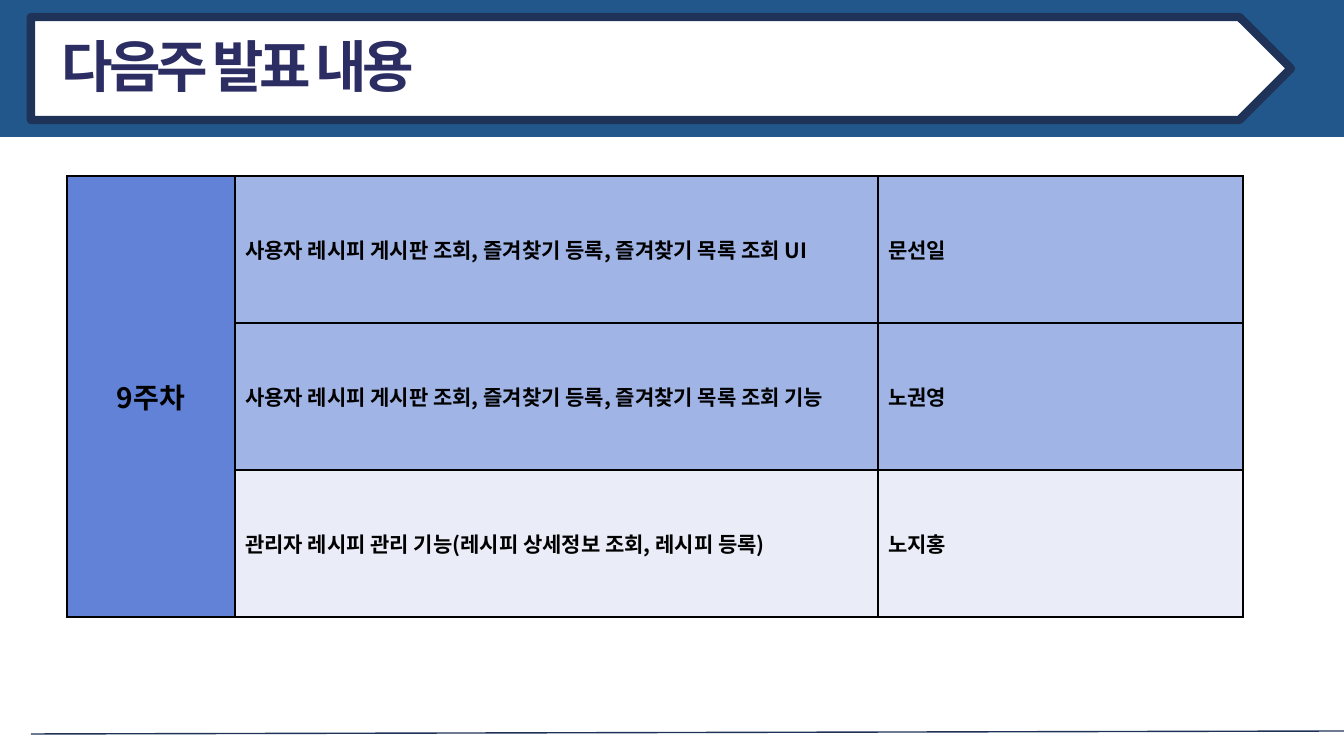
import dataclasses

import pptx
import pptx.dml.color
import pptx.enum.shapes
import pptx.enum.text
import pptx.oxml
import pptx.oxml.ns
import pptx.util

SCALE = 914400 / 100.8
FONT = "Noto Sans CJK KR"
NAVY = "1F3359"
BLACK = "000000"
WHITE = "FFFFFF"
WEEK = "6182D6"
BLUE = "A0B4E6"
PALE = "EAEDF7"
NS = pptx.oxml.ns.nsdecls("a")


@dataclasses.dataclass
class Task:
    work: str
    owner: str
    fill: str


TASKS = [
    Task("사용자 레시피 게시판 조회, 즐겨찾기 등록, 즐겨찾기 목록 조회 UI", "문선일", BLUE),
    Task("사용자 레시피 게시판 조회, 즐겨찾기 등록, 즐겨찾기 목록 조회 기능", "노권영", BLUE),
    Task("관리자 레시피 관리 기능(레시피 상세정보 조회, 레시피 등록)", "노지홍", PALE),
]
COLS = [168, 643, 365]
ROW = 147


def px(count: int) -> pptx.util.Emu:
    return pptx.util.Emu(round(count * SCALE))


def paint(color, code: str) -> None:
    color.rgb = pptx.dml.color.RGBColor.from_string(code)


def flood(fill, code: str) -> None:
    fill.solid()
    paint(fill.fore_color, code)


def write(frame, text: str, size: int, code: str):
    """Fill a text frame with one bold paragraph and return it."""
    para = frame.paragraphs[0]
    para.text = text
    font = para.font
    font.name, font.size, font.bold = FONT, pptx.util.Pt(size), True
    paint(font.color, code)
    props = para._p.pPr.find(pptx.oxml.ns.qn("a:defRPr"))
    props.append(pptx.oxml.parse_xml(f'<a:ea {NS} typeface="{FONT}"/>'))
    return para


def block(slide, kind, left: int, top: int, width: int, height: int, code: str):
    shape = slide.shapes.add_shape(kind, px(left), px(top), px(width), px(height))
    shape.shadow.inherit = False
    flood(shape.fill, code)
    shape.line.fill.background()
    return shape


def header(slide) -> None:
    kinds = pptx.enum.shapes.MSO_SHAPE
    block(slide, kinds.RECTANGLE, 0, 0, 1344, 137, "22578B")
    arrow = block(slide, kinds.PENTAGON, 31, 17, 1260, 103, WHITE)
    flood(arrow.line.fill, NAVY)
    arrow.line.width = pptx.util.Pt(6)
    arrow.line._get_or_add_ln().append(pptx.oxml.parse_xml(f"<a:round {NS}/>"))

    title = slide.shapes.add_textbox(px(52), px(27), px(383), px(77))
    frame = title.text_frame
    frame.word_wrap = False
    frame.auto_size = pptx.enum.text.MSO_AUTO_SIZE.SHAPE_TO_FIT_TEXT
    para = write(frame, "다음주 발표 내용", 40, "2B2D63")
    para._p.pPr.find(pptx.oxml.ns.qn("a:defRPr")).set("spc", "-300")


def footer(slide) -> None:
    line = slide.shapes.add_connector(
        pptx.enum.shapes.MSO_CONNECTOR.STRAIGHT, px(31), px(734), px(1344), px(731)
    )
    paint(line.line.color, NAVY)
    line.line.width = pptx.util.Pt(1)
    line._element.spPr.append(pptx.oxml.parse_xml(f"<a:effectLst {NS}/>"))


def style(cell, code: str) -> None:
    """Give a cell thin black borders, a fill and middle anchoring."""
    props = cell._tc.get_or_add_tcPr()
    for side in "LRTB":
        props.append(pptx.oxml.parse_xml(
            f'<a:ln{side} {NS} w="12700"><a:solidFill><a:srgbClr val="{BLACK}"/>'
            f"</a:solidFill></a:ln{side}>"
        ))
    flood(cell.fill, code)
    cell.vertical_anchor = pptx.enum.text.MSO_ANCHOR.MIDDLE


def plan(slide) -> None:
    table = slide.shapes.add_table(
        len(TASKS), len(COLS), px(67), px(176), px(sum(COLS)), px(ROW * len(TASKS))
    ).table
    for col, width in zip(table.columns, COLS):
        col.width = px(width)
    for row, task in enumerate(TASKS):
        table.rows[row].height = px(ROW)
        style(table.cell(row, 0), WEEK)
        for col, text in enumerate((task.work, task.owner), 1):
            cell = table.cell(row, col)
            style(cell, task.fill)
            write(cell.text_frame, text, 15, BLACK)
    week = table.cell(0, 0)
    week.merge(table.cell(len(TASKS) - 1, 0))
    para = write(week.text_frame, "9주차", 20, BLACK)
    para.alignment = pptx.enum.text.PP_ALIGN.CENTER


def main() -> None:
    deck = pptx.Presentation()
    deck.slide_width, deck.slide_height = px(1344), px(756)
    slide = deck.slides.add_slide(deck.slide_layouts[6])
    header(slide)
    footer(slide)
    plan(slide)
    deck.save("out.pptx")


if __name__ == "__main__":
    main()
